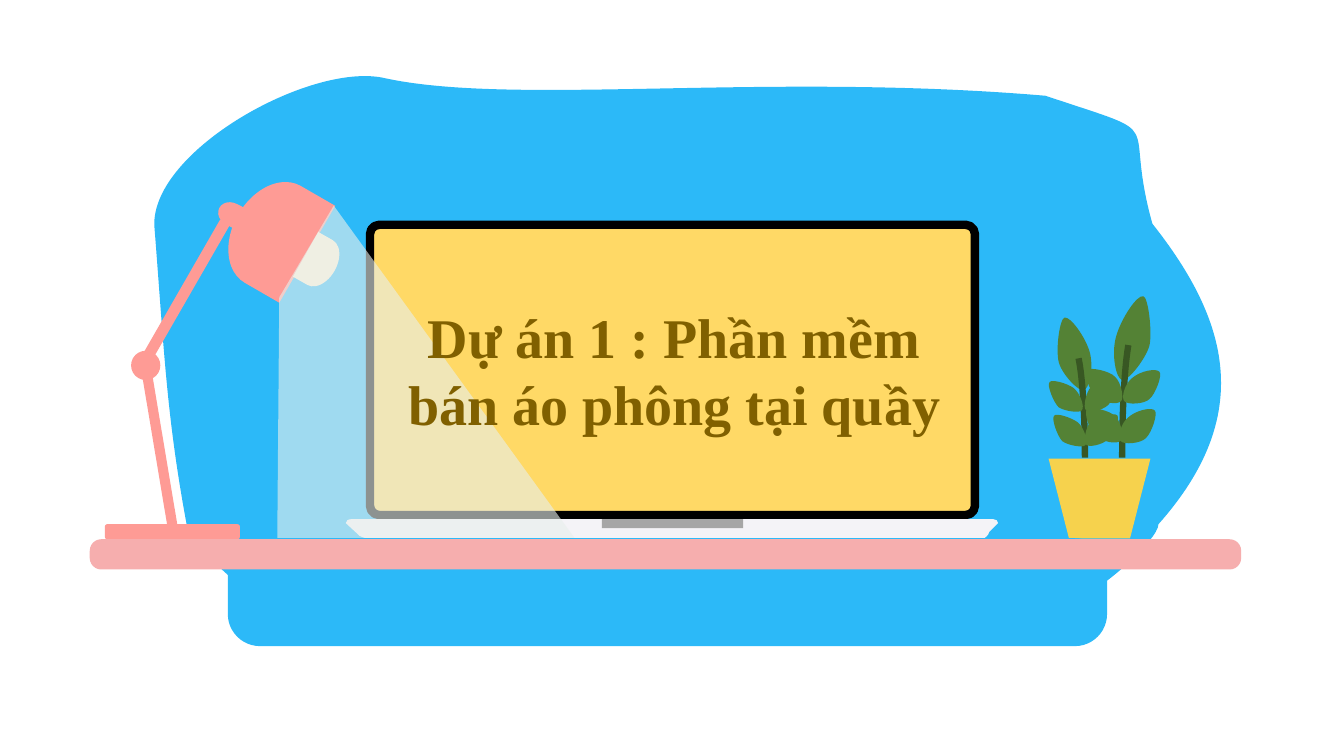
from math import cos, radians, sin

from lxml import etree
from pptx import Presentation, util as u
from pptx.dml.color import RGBColor
from pptx.enum import shapes, text
from pptx.oxml.ns import qn

PX = 9144
SLIDE = (1333, 750)
KIND = shapes.MSO_SHAPE
BLUE, LEAF, STEM, LAMP = "2CB9F8", "548235", "385723", "FE9B95"

TITLE = "Dự án 1 : Phần mềm bán áo phông tại quầy"
TITLE_BOX = (383, 295, 571, 145)

BACKDROP = ((153, 75, 1058, 515), 0, [
    (153, 223), (152, 149, 306, 63, 379, 77), (508, 106, 755, 71, 1037, 95),
    (1165, 138, 1112, 111, 1143, 222), (1219, 318, 1245, 412, 1149, 520),
    (1149, 536, 1086, 591, 1071, 591), (264, 591),
    (249, 591, 217, 569, 186, 525), (165, 413, 163, 349, 153, 223)])
LAPTOP_BASE = ((343, 515, 647, 20), 0, [
    (343, 519), (343, 517, 345, 515, 349, 515), (985, 515),
    (988, 515, 990, 517, 990, 519), (981, 528), (981, 530, 977, 535, 973, 535),
    (368, 535), (365, 535, 355, 532, 355, 530), (343, 519)])
BEAM = ((275, 204, 295, 330), 0, [(277, 295), (331, 204), (570, 534), (275, 534), (277, 295)])

PLANTS = [
    {"top": ((1049, 314, 32, 75), 345.2, [
        (1050, 359), (1047, 346, 1051, 316, 1056, 315), (1062, 314, 1077, 335, 1081, 350),
        (1085, 366, 1080, 386, 1075, 387), (1070, 389, 1053, 371, 1050, 359)]),
     "stem": (1054, 345, 22, 218), "flip": False,
     "sides": [
         (((1080, 370, 24, 43), 46.5, [
             (1082, 384), (1087, 380, 1105, 375, 1108, 378), (1111, 381, 1105, 395, 1099, 402),
             (1092, 408, 1079, 410, 1077, 407), (1074, 404, 1077, 389, 1082, 384)]), (0, 34, 0)),
         (((1045, 372, 24, 43), 309.5, [
             (1050, 404), (1045, 399, 1038, 382, 1041, 379), (1043, 376, 1058, 380, 1065, 385),
             (1072, 391, 1076, 404, 1073, 407), (1071, 410, 1056, 408, 1050, 404)]), (4, 34, 2.2))]},
    {"top": ((1107, 292, 34, 86), 14.8, [
        (1140, 343), (1143, 330, 1139, 295, 1134, 294), (1128, 292, 1112, 316, 1107, 334),
        (1102, 352, 1107, 376, 1113, 377), (1118, 379, 1136, 357, 1140, 343)]),
     "stem": (1113, 328, 23, 252), "flip": True,
     "sides": [
         (((1082, 359, 27, 46), 313.5, [
             (1106, 374), (1101, 368, 1081, 364, 1078, 367), (1075, 371, 1080, 387, 1087, 393),
             (1094, 400, 1108, 402, 1112, 398), (1115, 395, 1112, 379, 1106, 374)]), (0, 39, 0)),
         (((1119, 361, 27, 46), 50.5, [
             (1140, 396), (1146, 391, 1153, 372, 1150, 369), (1147, 365, 1131, 368, 1123, 375),
             (1115, 381, 1112, 395, 1115, 398), (1118, 402, 1135, 401, 1140, 396)]), (-4, 39, -2.2))]},
]
POT = (1040, 455, 101, 79)

LAMP_PARTS = [
    (KIND.ROUNDED_RECTANGLE, (104, 520, 134, 15), 0, LAMP),
    (KIND.ROUNDED_RECTANGLE, (76, 442, 165, 10), 80.5, LAMP),
    (KIND.OVAL, (130, 348, 29, 29), 0, LAMP),
    (KIND.ROUNDED_RECTANGLE, (103, 284, 161, 11), 119.9, LAMP),
    (KIND.FLOWCHART_DELAY, (216, 201, 27, 23), 206.9, LAMP),
    (KIND.FLOWCHART_DELAY, (231, 177, 79, 111), 210, LAMP),
    (KIND.FLOWCHART_DELAY, (301, 235, 33, 51), 29.6, "FCF1D7"),
]


def color(value):
    return RGBColor.from_string(value)


def style(shape, fill=None, line=None, width=0):
    shape.shadow.inherit = False
    if fill:
        shape.fill.solid()
        shape.fill.fore_color.rgb = color(fill)
    else:
        shape.fill.background()
    if line:
        shape.line.color.rgb = color(line)
        shape.line.width = u.Pt(width)
    else:
        shape.line.fill.background()
    return shape


def preset(owner, kind, box, fill=None, adjust=(), rotation=0, line=None, width=0):
    shape = owner.shapes.add_shape(kind, *(n * PX for n in box))
    for index, value in enumerate(adjust):
        shape.adjustments[index] = value
    shape.rotation = rotation
    return style(shape, fill, line, width)


def upright(segment, box, rotation):
    left, top, width, height = box
    turn = radians(-rotation)
    points = []
    for x, y in zip(segment[::2], segment[1::2]):
        dx, dy = x - left - width / 2, y - top - height / 2
        points.append((round((dx * cos(turn) - dy * sin(turn) + width / 2) * PX),
                       round((dx * sin(turn) + dy * cos(turn) + height / 2) * PX)))
    return points


def freeform(owner, outline, fill, shift=(0, 0, 0)):
    box, rotation, segments = outline
    curves = [upright(segment, box, rotation) for segment in segments]
    builder = owner.shapes.build_freeform(*curves[0][-1], scale=1.0)
    builder.add_line_segments([curve[-1] for curve in curves[1:]], close=True)
    shape = builder.convert_to_shape()
    left, top, width, height = box
    shape.left, shape.top = (left + shift[0]) * PX, (top + shift[1]) * PX
    shape.width, shape.height = width * PX, height * PX
    shape.rotation = rotation + shift[2]
    outline_path = next(shape._element.iter(qn("a:path")))
    outline_path.set("w", str(width * PX))
    outline_path.set("h", str(height * PX))
    for step in list(outline_path):
        outline_path.remove(step)
    for index, curve in enumerate(curves):
        tag = "a:moveTo" if index == 0 else "a:lnTo" if len(curve) == 1 else "a:cubicBezTo"
        step = etree.SubElement(outline_path, qn(tag))
        for x, y in curve:
            etree.SubElement(step, qn("a:pt"), x=str(x), y=str(y))
    etree.SubElement(outline_path, qn("a:close"))
    return style(shape, fill)


def draw_plants(page):
    group = page.shapes.add_group_shape()
    for plant in PLANTS:
        freeform(group, plant["top"], LEAF)
        stem = preset(group, KIND.ARC, plant["stem"], adjust=(163.643, 0), line=STEM, width=4.5)
        if plant["flip"]:
            stem._element.spPr.find(qn("a:xfrm")).set("flipH", "1")
        for row in range(2):
            for leaf, shift in plant["sides"]:
                freeform(group, leaf, LEAF, [row * n for n in shift])
    preset(group, KIND.FLOWCHART_MANUAL_OPERATION, POT, "F6D24D")


def draw_lamp(page):
    group = page.shapes.add_group_shape()
    for kind, box, rotation, fill in LAMP_PARTS:
        preset(group, kind, box, fill, rotation=rotation)
    beam = freeform(page, BEAM, "E8EFEC")
    tint = beam._element.spPr.find(qn("a:solidFill"))[0]
    etree.SubElement(tint, qn("a:alpha")).set("val", "61000")


def draw_title(page):
    box = page.shapes.add_textbox(*(n * PX for n in TITLE_BOX))
    frame = box.text_frame
    frame.word_wrap = True
    frame.auto_size = text.MSO_AUTO_SIZE.SHAPE_TO_FIT_TEXT
    para = frame.paragraphs[0]
    para.alignment = text.PP_ALIGN.CENTER
    span = para.add_run()
    span.text = TITLE
    span.font.name = "Times New Roman"
    span.font.size = u.Pt(40)
    span.font.bold = True
    span.font.color.rgb = color("806000")


def main():
    deck = Presentation()
    deck.slide_width, deck.slide_height = (n * PX for n in SLIDE)
    page = deck.slides.add_slide(deck.slide_layouts[6])
    freeform(page, BACKDROP, BLUE)
    preset(page, KIND.ROUNDED_RECTANGLE, (367, 223, 600, 288), "FFD966", (0.032,),
           line="000000", width=6)
    freeform(page, LAPTOP_BASE, "F4F3F7")
    preset(page, KIND.ROUNDED_RECTANGLE, (597, 515, 140, 9), "A6A6A6", (0,))
    draw_plants(page)
    draw_lamp(page)
    preset(page, KIND.RECTANGLE, (214, 618, 992, 196), "FFFFFF")
    draw_title(page)
    preset(page, KIND.ROUNDED_RECTANGLE, (226, 534, 872, 107), BLUE, (0.298,))
    preset(page, KIND.ROUNDED_RECTANGLE, (89, 535, 1142, 30), "F6AEAE", (0.38,))
    deck.save("out.pptx")


if __name__ == "__main__":
    main()
